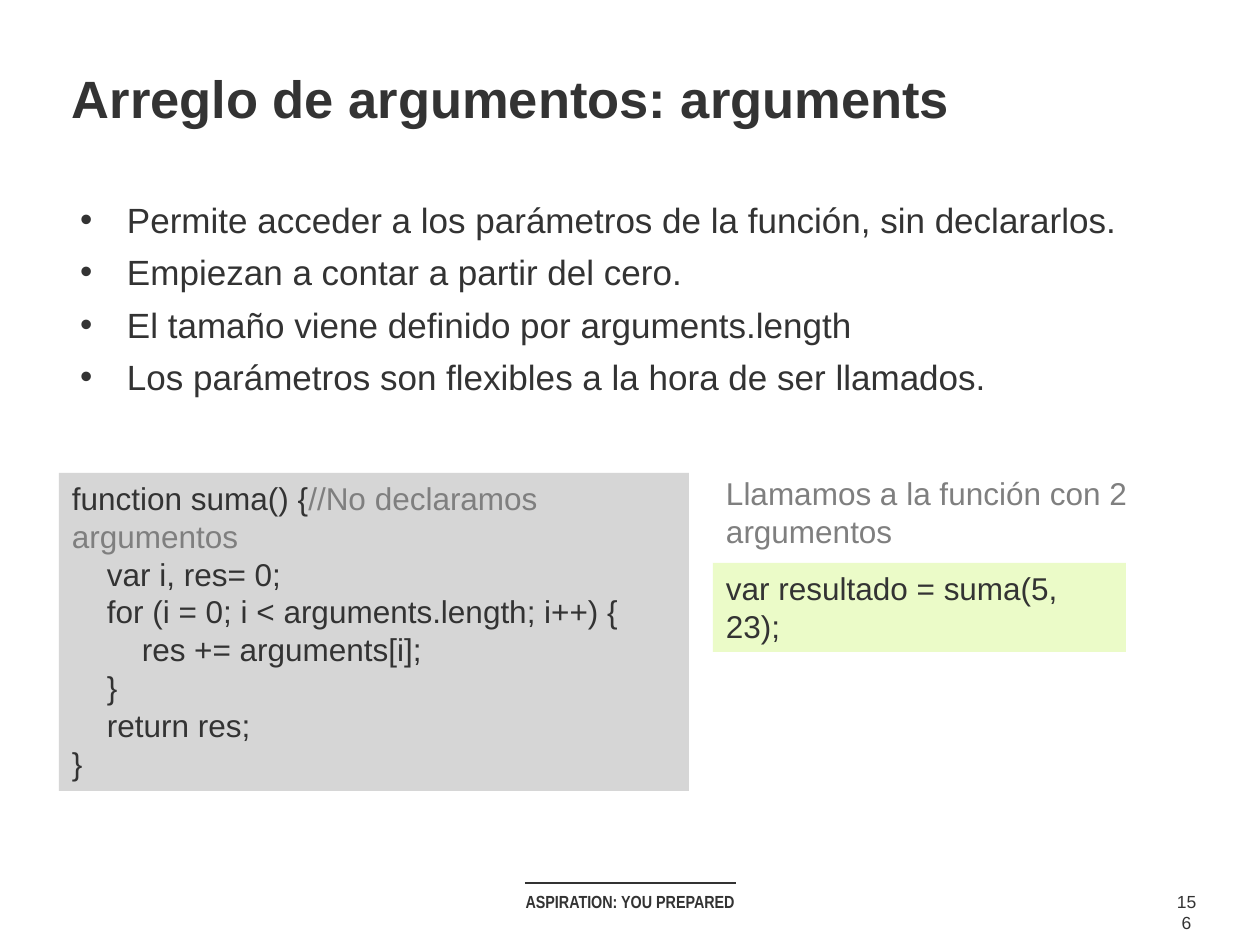
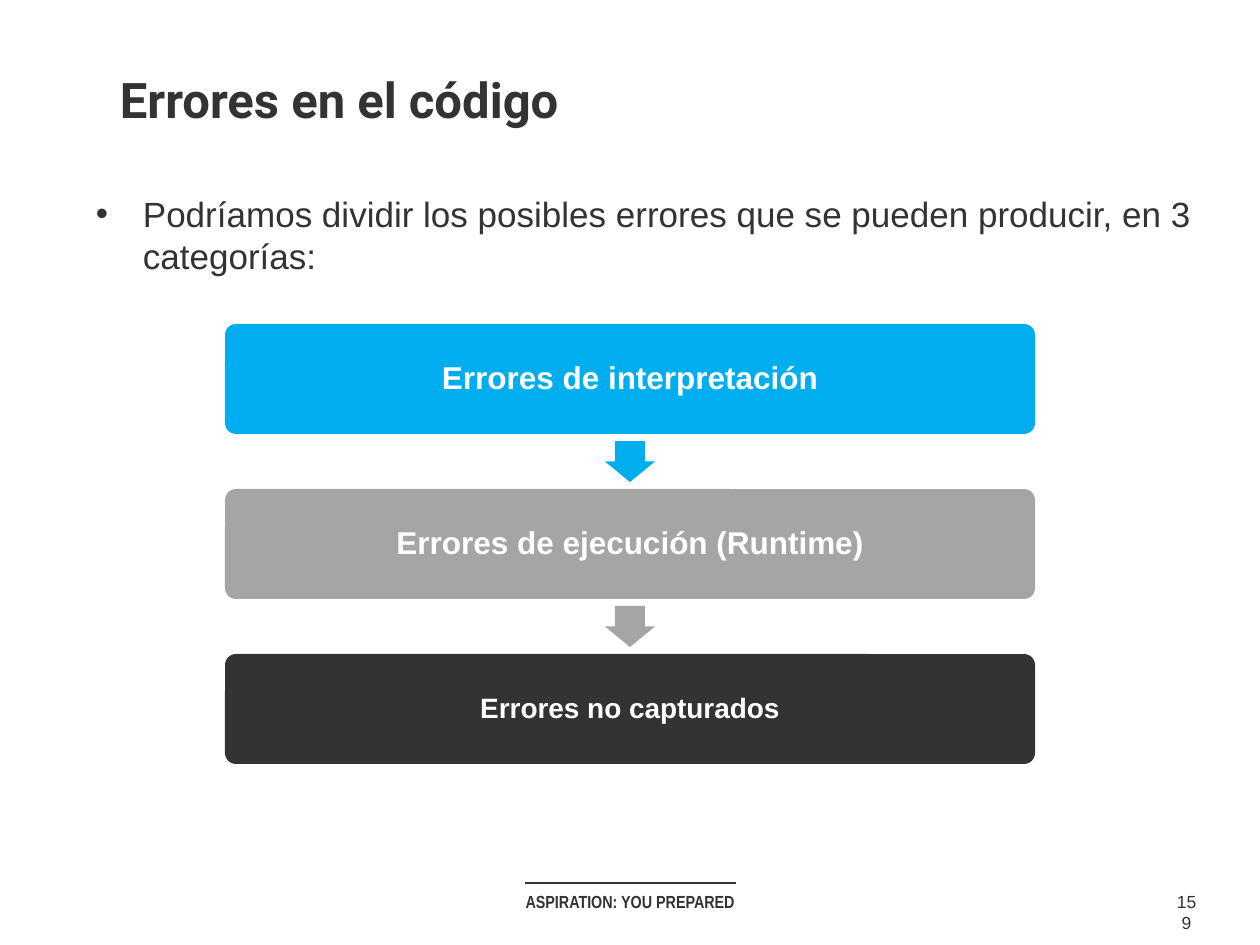
"""Build two lesson slides: the arguments array and the kinds of code errors."""
from lxml import etree
from pptx import Presentation
from pptx.dml.color import RGBColor
from pptx.enum.shapes import MSO_CONNECTOR, MSO_SHAPE as Shape
from pptx.enum.text import MSO_ANCHOR as Anchor, PP_ALIGN as Align
from pptx.oxml.ns import qn
from pptx.util import Emu, Pt

SCALE = 914400 / 126
COLORS = {
    "ink": "333333",
    "comment": "7F7F7F",
    "code": "D6D6D6",
    "call": "EBFBC8",
    "blue": "00ADEF",
    "gray": "A5A5A5",
    "white": "FFFFFF",
}
FOOTER = "ASPIRATION: YOU PREPARED"
ADVANTAGES = [
    "Permite acceder a los parámetros de la función, sin declararlos.",
    "Empiezan a contar a partir del cero.",
    "El tamaño viene definido por arguments.length",
    "Los parámetros son flexibles a la hora de ser llamados.",
]
CODE = [
    [("function suma() {", "ink"), ("//No declaramos argumentos", "comment")],
    "    var i, res= 0;",
    "    for (i = 0; i < arguments.length; i++) {",
    "        res += arguments[i];",
    "    }",
    "    return res;",
    "}",
]
ERRORS = [
    ("Errores de interpretación", "blue", 18),
    ("Errores de ejecución (Runtime)", "gray", 18),
    ("Errores no capturados", "ink", 16),
]


def px(value):
    """Turn px into EMU."""
    return Emu(round(value * SCALE))


def rgb(name):
    """Look up a named colour."""
    return RGBColor.from_string(COLORS[name])


def add_bullet(para, indent):
    """Give a paragraph a hanging round bullet."""
    props = para._p.get_or_add_pPr()
    props.set("marL", str(px(indent)))
    props.set("indent", str(-px(indent)))
    etree.SubElement(props, qn("a:buFont")).set("typeface", "Arial")
    etree.SubElement(props, qn("a:buChar")).set("char", "•")


def write(shape, lines, size, color="ink", bold=False, font="Arial",
          align=Align.LEFT, anchor=Anchor.TOP, insets=(13, 6),
          bullet=0, gap=0, spacing=None):
    """Fill a shape with paragraphs; a line is a string or coloured spans."""
    frame = shape.text_frame
    frame.word_wrap = True
    frame.vertical_anchor = anchor
    frame.margin_left = frame.margin_right = px(insets[0])
    frame.margin_top = frame.margin_bottom = px(insets[1])
    for index, line in enumerate(lines):
        para = frame.add_paragraph() if index else frame.paragraphs[0]
        if index and gap:
            para.space_before = Pt(gap)
        if spacing:
            para.line_spacing = spacing
        para.alignment = align
        if bullet:
            add_bullet(para, bullet)
        para.font.name = font
        para.font.size = Pt(size)
        para.font.bold = bold
        if isinstance(line, str):
            para.font.color.rgb = rgb(color)
            para.add_run().text = line
            continue
        for text, tint in line:
            span = para.add_run()
            span.text = text
            span.font.color.rgb = rgb(tint)


def add_text(page, box, lines, size, **style):
    """Place a text box."""
    write(page.shapes.add_textbox(*map(px, box)), lines, size, **style)


def add_panel(page, kind, box, fill, adjustments=()):
    """Place a flat filled shape."""
    panel = page.shapes.add_shape(kind, *map(px, box))
    panel.shadow.inherit = False
    panel.fill.solid()
    panel.fill.fore_color.rgb = rgb(fill)
    panel.line.fill.background()
    for index, value in enumerate(adjustments):
        panel.adjustments[index] = value
    return panel


def add_footer(page, box, number):
    """Draw the rule, footer text and page number in a full-width band."""
    left, top, width, height = box
    middle = left + width / 2
    rule = page.shapes.add_connector(
        MSO_CONNECTOR.STRAIGHT, px(middle - 105), px(top), px(middle + 106), px(top))
    rule.line.color.rgb = rgb("ink")
    rule.line.width = Pt(0.75)
    etree.SubElement(rule._element.spPr, qn("a:effectLst"))
    add_text(page, (middle - 168, top + 2, 336, height), [FOOTER], 10,
             font="Arial Narrow", bold=True, align=Align.CENTER)
    add_text(page, (left + width - 97, top + 2, 47, height), [str(number)], 10,
             align=Align.CENTER)


def add_page(deck, number):
    """Add a blank page with the shared footer."""
    page = deck.slides.add_slide(deck.slide_layouts[6])
    add_footer(page, (0, 883, 1260, 34), number)
    return page


def add_call_example(page, box):
    """Show a caption above the highlighted function call."""
    left, top, width, height = box
    add_text(page, (left, top, width, 89),
             ["Llamamos a la función con 2 argumentos"], 18, color="comment")
    call = add_panel(page, Shape.RECTANGLE, (left, top + height - 89, 413, 89), "call")
    write(call, ["var resultado = suma(5, 23);"], 18)


def add_error_chain(page, box):
    """Stack equal error boxes joined by block arrows."""
    left, top, width, height = box
    step = 165
    bar = height - step * (len(ERRORS) - 1)
    arrow_width, arrow_height = 50, 41
    for index, (label, color, size) in enumerate(ERRORS):
        y = top + index * step
        panel = add_panel(page, Shape.ROUNDED_RECTANGLE, (left, y, width, bar),
                          color, [0.1])
        write(panel, [label], size, color="white", bold=True, align=Align.CENTER,
              anchor=Anchor.MIDDLE, insets=(12, 12), spacing=0.9)
        if index < len(ERRORS) - 1:
            arrow = (left + (width - arrow_width) / 2,
                     y + bar + (step - bar - arrow_height) / 2,
                     arrow_width, arrow_height)
            add_panel(page, Shape.DOWN_ARROW, arrow, color, [0.6, 0.5])


def build_arguments(deck):
    """Build the slide about the arguments array."""
    page = add_page(deck, 156)
    add_text(page, (59, 60, 982, 87), ["Arreglo de argumentos: arguments"], 30, bold=True)
    add_text(page, (80, 198, 1118, 220), ADVANTAGES, 20,
             insets=(0, 0), bullet=47, gap=6)
    write(add_panel(page, Shape.RECTANGLE, (59, 473, 630, 318), "code"), CODE, 18)
    add_call_example(page, (713, 468, 462, 184))


def build_errors(deck):
    """Build the slide about the error categories."""
    page = add_page(deck, 159)
    add_text(page, (107, 63, 1090, 83), ["Errores en el código"], 28,
             font="Roboto", bold=True)
    add_text(page, (83, 186, 1133, 97),
             ["Podríamos dividir los posibles errores que se pueden producir, "
              "en 3 categorías:"], 20, bullet=47)
    add_error_chain(page, (225, 324, 810, 440))


def main():
    """Build and save the deck."""
    deck = Presentation()
    deck.slide_width, deck.slide_height = px(1260), px(945)
    build_arguments(deck)
    build_errors(deck)
    deck.save("out.pptx")


if __name__ == "__main__":
    main()
